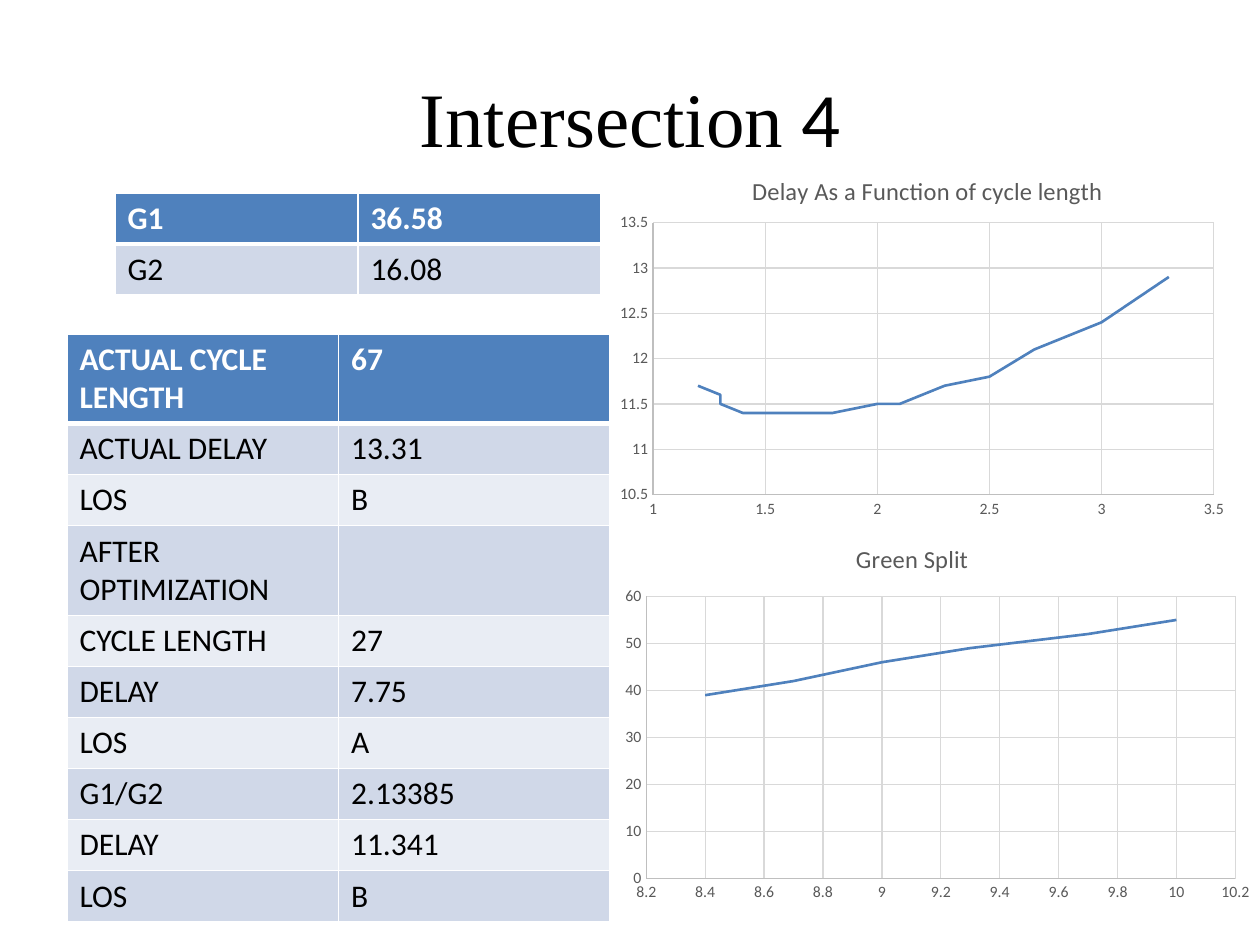
import pptx
import pptx.chart.data
import pptx.dml.color
import pptx.enum.chart
import pptx.enum.text
import pptx.oxml
import pptx.oxml.ns
import pptx.util

RGBColor = pptx.dml.color.RGBColor
WHITE = RGBColor(0xFF, 0xFF, 0xFF)
BLACK = RGBColor(0x00, 0x00, 0x00)
BLUE = RGBColor(0x4F, 0x81, 0xBD)
BAND_DARK = RGBColor(0xD0, 0xD8, 0xE8)
BAND_LIGHT = RGBColor(0xE9, 0xED, 0xF4)
GREY_TEXT = RGBColor(0x59, 0x59, 0x59)
GREY_AXIS = RGBColor(0xBF, 0xBF, 0xBF)
GREY_GRID = RGBColor(0xD9, 0xD9, 0xD9)

SCALE = 914400 / 126  # EMU in one px
ROW_HEIGHT = 51


def px(*lengths):
    return [pptx.util.Emu(round(length * SCALE)) for length in lengths]


class SlideBuilder:
    body_font = "Calibri"
    title_font = "Times New Roman"

    def __init__(self, slide):
        self.slide = slide

    def style(self, font, size, color, name=body_font, bold=False):
        font.name, font.size, font.bold = name, pptx.util.Pt(size), bold
        font.color.rgb = color

    def title(self, parts, box):
        shape = self.slide.shapes.title
        shape.left, shape.top, shape.width, shape.height = px(*box)
        shape.text_frame.vertical_anchor = pptx.enum.text.MSO_ANCHOR.MIDDLE
        paragraph = shape.text_frame.paragraphs[0]
        paragraph.alignment = pptx.enum.text.PP_ALIGN.CENTER
        for text, name in parts:
            run = paragraph.add_run()
            run.text = text
            self.style(run.font, 44, BLACK, name)

    def border(self, cell, side, points):
        namespace = pptx.oxml.ns.nsdecls("a")
        cell._tc.get_or_add_tcPr().append(pptx.oxml.parse_xml(
            f'<a:{side} {namespace} w="{points * 12700}"><a:solidFill>'
            f'<a:srgbClr val="{WHITE}"/></a:solidFill></a:{side}>'))

    def table(self, rows, left, top, width):
        columns = len(rows[0])
        frame = self.slide.shapes.add_table(
            len(rows), columns, *px(left, top, width, ROW_HEIGHT * len(rows)))
        for row_number, row in enumerate(rows):
            header = row_number == 0
            band = BAND_DARK if row_number % 2 else BAND_LIGHT
            for column_number, text in enumerate(row):
                cell = frame.table.cell(row_number, column_number)
                for side in ("lnL", "lnR", "lnT", "lnB"):
                    thick = header and side == "lnB" or row_number == 1 and side == "lnT"
                    self.border(cell, side, 3 if thick else 1)
                cell.fill.solid()
                cell.fill.fore_color.rgb = BLUE if header else band
                cell.text_frame.text = text
                for run in cell.text_frame.paragraphs[0].runs:
                    self.style(run.font, 18, WHITE if header else BLACK, bold=header)

    def place(self, parent, index, settings):
        """Give a chart part a manual layout, in fractions of the chart."""
        for layout in parent.findall(pptx.oxml.ns.qn("c:layout")):
            parent.remove(layout)
        items = "".join(f'<c:{key} val="{value}"/>' for key, value in settings.items())
        parent.insert(index, pptx.oxml.parse_xml(
            f'<c:layout {pptx.oxml.ns.nsdecls("c")}><c:manualLayout>{items}'
            '</c:manualLayout></c:layout>'))

    def axis(self, axis, minimum, maximum, step):
        axis.minimum_scale, axis.maximum_scale, axis.major_unit = minimum, maximum, step
        axis.major_tick_mark = axis.minor_tick_mark = pptx.enum.chart.XL_TICK_MARK.NONE
        axis.has_major_gridlines = True
        for part, color in ((axis, GREY_AXIS), (axis.major_gridlines, GREY_GRID)):
            part.format.line.color.rgb = color
            part.format.line.width = pptx.util.Pt(0.75)
        axis.tick_labels.number_format = "General"
        axis.tick_labels.number_format_is_linked = False
        self.style(axis.tick_labels.font, 9, GREY_TEXT)

    def curve_chart(self, title, points, box, x_axis, y_axis, title_at, plot_at):
        data = pptx.chart.data.XyChartData()
        series_data = data.add_series("Series 1")
        for x, y in points:
            series_data.add_data_point(x, y)
        chart = self.slide.shapes.add_chart(
            pptx.enum.chart.XL_CHART_TYPE.XY_SCATTER_SMOOTH_NO_MARKERS,
            *px(*box), data).chart
        self.style(chart.font, 10, BLACK)
        chart.has_legend = False
        chart.plots[0].vary_by_categories = False

        # Title and plot area
        chart.has_title = True
        frame = chart.chart_title.text_frame
        frame.text = title
        self.style(frame.paragraphs[0].runs[0].font, 14, GREY_TEXT)
        edges = {"xMode": "edge", "yMode": "edge"}
        self.place(chart.chart_title._element, 1,
                   {**edges, **dict(zip("xy", title_at))})
        self.place(chart._chartSpace.chart.plotArea, 0,
                   {"layoutTarget": "inner", **edges, **dict(zip("xywh", plot_at))})

        # Axes and curve
        self.axis(chart.category_axis, *x_axis)
        self.axis(chart.value_axis, *y_axis)
        series = chart.plots[0].series[0]
        series.smooth = True
        series.marker.style = pptx.enum.chart.XL_MARKER_STYLE.NONE
        series.format.line.color.rgb = BLUE
        series.format.line.width = pptx.util.Pt(1.5)


def main():
    presentation = pptx.Presentation()
    presentation.slide_width, presentation.slide_height = px(1260, 945)
    slide = presentation.slides.add_slide(presentation.slide_layouts[5])
    builder = SlideBuilder(slide)

    builder.title([("Intersection", builder.title_font), (" 4", builder.body_font)],
                  (63, 38, 1134, 157))

    # Green times
    builder.table([("G1", "36.58"), ("G2", "16.08")], 115, 193, 486)

    # Cycle length, delay and level of service
    builder.table([
        ("ACTUAL CYCLE LENGTH", "67"),
        ("ACTUAL DELAY", "13.31"),
        ("LOS", "B"),
        ("AFTER OPTIMIZATION", ""),
        ("CYCLE LENGTH", "27"),
        ("DELAY", "7.75"),
        ("LOS", "A"),
        ("G1/G2", "2.13385"),
        ("DELAY", "11.341"),
        ("LOS", "B"),
    ], 67, 334, 543)

    # Delay curve
    delay_points = [
        (1.2, 11.7), (1.3, 11.6), (1.3, 11.5), (1.4, 11.4), (1.6, 11.4),
        (1.7, 11.4), (1.8, 11.4), (2, 11.5), (2.1, 11.5), (2.3, 11.7),
        (2.5, 11.8), (2.7, 12.1), (3, 12.4), (3.3, 12.9)]
    builder.curve_chart("Delay As a Function of cycle length", delay_points,
                        (609, 147, 630, 378), (1, 3.5, 0.5), (10.5, 13.5, 0.5),
                        (0.22, 0.06), (0.07, 0.2, 0.89, 0.72))

    # Green split curve
    split_points = [(8.4, 39), (8.7, 42), (9, 46), (9.3, 49), (9.7, 52), (10, 55)]
    builder.curve_chart("Green Split", split_points,
                        (600, 522, 662, 392), (8.2, 10.2, 0.2), (0, 60, 10),
                        (0.38, 0.04), (0.07, 0.19, 0.89, 0.72))

    presentation.save("out.pptx")


if __name__ == "__main__":
    main()
